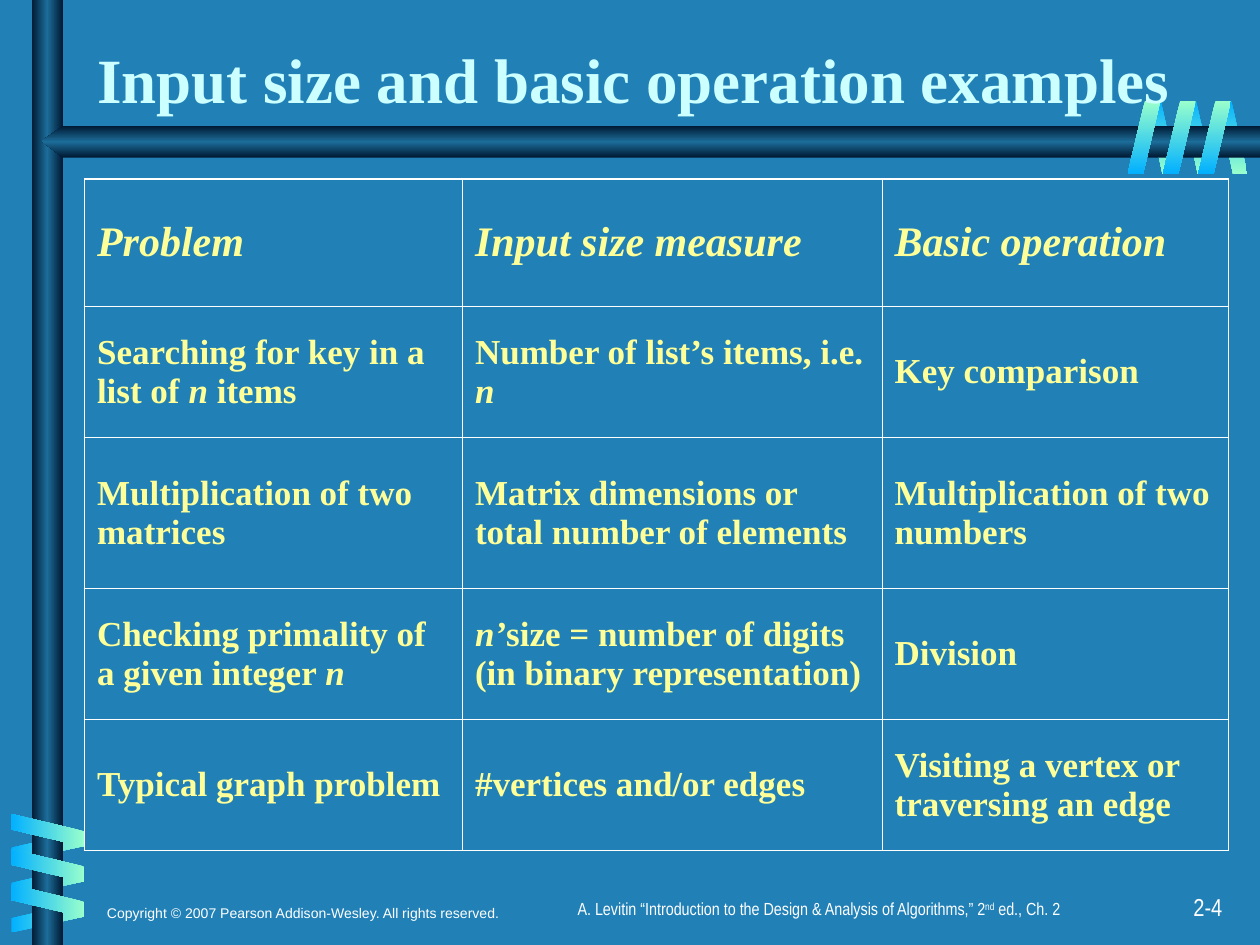
from lxml.etree import SubElement
from pptx import Presentation
from pptx.dml.color import RGBColor
from pptx.enum.shapes import MSO_SHAPE as Shape
from pptx.enum.text import MSO_ANCHOR as Anchor, PP_ALIGN as Align
from pptx.oxml.ns import qn
from pptx.util import Inches, Pt

COLORS = {
    "background": "2181B7", "title": "CCFFFF", "cell": "FFFF99", "white": "FFFFFF",
    "blue": "01B0FF", "mint": "99FFCC", "dark": "001932", "steel": "1C6D9A",
}
SERIF, SANS, NARROW = "Times New Roman", "Arial", "Arial Narrow"
BAR = ("dark", "steel", "dark")
FRONT, BACK = ("mint", "blue"), ("blue", "mint")
COLUMNS = (3, 3.33, 2.75)
ROWS = (1.01, 1.04, 1.2, 1.04, 1.04)
HEADINGS = ("Problem", "Input size measure", "Basic operation")
EXAMPLES = (
    (("Searching for key in a list of ", "*n", " items"),
     ("Number of list’s items, i.e. ", "*n"),
     ("Key comparison",)),
    (("Multiplication of two matrices",),
     ("Matrix dimensions or total number of elements",),
     ("Multiplication of two numbers",)),
    (("Checking primality of a given integer ", "*n"),
     ("*n’", "size = number of digits (in binary representation)"),
     ("Division",)),
    (("Typical graph problem",),
     ("#vertices and/or edges",),
     ("Visiting a vertex or traversing an edge",)),
)


def add_run(paragraph, text, font, size, color, bold=False, italic=False):
    """Append one formatted run and return it."""
    run = paragraph.add_run()
    run.text = text
    run.font.name, run.font.size = font, Pt(size)
    run.font.bold, run.font.italic = bold, italic
    run.font.color.rgb = RGBColor.from_string(COLORS[color])
    return run


def paint_gradient(shape, names, angle):
    """Fill a shape with evenly spaced stops, angle clockwise, and no outline."""
    shape.shadow.inherit = False
    shape.line.fill.background()
    shape.fill.gradient()
    gradient = shape.element.spPr.find(qn("a:gradFill"))
    gradient.set("rotWithShape", "0")
    stops = gradient.find(qn("a:gsLst"))
    for stop in list(stops):
        stops.remove(stop)
    for index, name in enumerate(names):
        position = 100000 * index // (len(names) - 1)
        stop = SubElement(stops, qn("a:gs"), pos=str(position))
        SubElement(stop, qn("a:srgbClr"), val=COLORS[name])
    shape.fill.gradient_angle = (360 - angle) % 360


def add_strips(slide, left, top, step_x, step_y, width, names, angle, rotation=0, flip=False):
    """Draw three equally spaced slanted strips of a coil."""
    for index in range(3):
        strip = slide.shapes.add_shape(
            Shape.PARALLELOGRAM, Inches(left + index * step_x),
            Inches(top + index * step_y), Inches(width), Inches(0.58))
        strip.adjustments[0] = 0.53
        strip.rotation = rotation
        if flip:
            strip.element.spPr.xfrm.set("flipH", "1")
        paint_gradient(strip, names, angle)


def add_bars(slide):
    """Draw the vertical bar and the pointed horizontal bar."""
    post = slide.shapes.add_shape(
        Shape.RECTANGLE, Inches(0.25), 0, Inches(0.25), Inches(7.5))
    paint_gradient(post, BAR, 180)
    outline = [(Inches(x), Inches(y)) for x, y in
               ((10, 1), (0.5, 1), (0.33, 1.12), (0.5, 1.25), (10, 1.25))]
    builder = slide.shapes.build_freeform(*outline[0])
    builder.add_line_segments(outline[1:], close=True)
    paint_gradient(builder.convert_to_shape(), BAR, 90)


def add_text(slide, left, top, width, height, align, anchor=Anchor.TOP):
    """Add an empty wrapping text box and return its paragraph."""
    box = slide.shapes.add_textbox(Inches(left), Inches(top), Inches(width), Inches(height))
    frame = box.text_frame
    frame.word_wrap, frame.vertical_anchor = True, anchor
    frame.paragraphs[0].alignment = align
    return frame.paragraphs[0]


def add_footer(slide):
    """Add the page number, the copyright line and the book reference."""
    number = add_text(slide, 7.72, 7.03, 2.08, 0.33, Align.RIGHT)
    add_run(number, "2-4", NARROW, 14, "white")
    rights = add_text(slide, 0.75, 6.78, 4.25, 0.58, Align.LEFT, Anchor.BOTTOM)
    add_run(rights, "Copyright © 2007 Pearson Addison-Wesley. All rights reserved.",
            SANS, 8, "white")
    book = add_text(slide, 3, 7.08, 7, 0.33, Align.CENTER)
    add_run(book, "A. Levitin “Introduction to the Design & Analysis of Algorithms,” 2",
            NARROW, 10, "white")
    ordinal = add_run(book, "nd", NARROW, 10, "white")
    ordinal.font._element.set("baseline", "30000")
    add_run(book, " ed., Ch. 2", NARROW, 10, "white")


def set_title(slide, text):
    """Place and format the title above the decoration."""
    title = slide.shapes.title
    title.left, title.top = Inches(0.67), Inches(0.22)
    title.width, title.height = Inches(9.33), Inches(0.75)
    title.text_frame.vertical_anchor = Anchor.BOTTOM
    paragraph = title.text_frame.paragraphs[0]
    paragraph.alignment = Align.LEFT
    add_run(paragraph, text, SERIF, 36, "title", bold=True)
    title.element.getparent().append(title.element)


def set_borders(cell, outer_sides):
    """Draw white cell borders, heavier on the outer sides."""
    properties = cell._tc.get_or_add_tcPr()
    for index, side in enumerate(("lnL", "lnR", "lnT", "lnB")):
        width = Pt(1.08 if side in outer_sides else 0.45)
        line = SubElement(properties, qn(f"a:{side}"), w=str(width))
        fill = SubElement(line, qn("a:solidFill"))
        SubElement(fill, qn("a:srgbClr"), val=COLORS["white"])
        properties.remove(line)
        properties.insert(index, line)


def add_examples(slide):
    """Add the table of problems, size measures and operations."""
    table = slide.shapes.add_table(
        len(ROWS), len(COLUMNS), Inches(0.67), Inches(1.42),
        Inches(sum(COLUMNS)), Inches(sum(ROWS))).table
    table.first_row = table.horz_banding = False
    for column, width in zip(table.columns, COLUMNS):
        column.width = Inches(width)
    for row, height in zip(table.rows, ROWS):
        row.height = Inches(height)
    contents = (tuple((f"*{heading}",) for heading in HEADINGS),) + EXAMPLES
    for row, cells in enumerate(contents):
        for column, texts in enumerate(cells):
            cell = table.cell(row, column)
            cell.fill.background()
            cell.vertical_anchor = Anchor.MIDDLE
            edges = {"lnL": column == 0, "lnR": column == len(COLUMNS) - 1,
                     "lnT": row == 0, "lnB": row == len(ROWS) - 1}
            set_borders(cell, [side for side, outer in edges.items() if outer])
            for text in texts:
                add_run(cell.text_frame.paragraphs[0], text.removeprefix("*"), SERIF,
                        20 if row else 24, "cell", True, text.startswith("*"))


def main():
    """Build the slide and save it."""
    presentation = Presentation()
    presentation.slide_width, presentation.slide_height = Inches(10), Inches(7.5)
    slide = presentation.slides.add_slide(presentation.slide_layouts[5])
    slide.background.fill.solid()
    slide.background.fill.fore_color.rgb = RGBColor.from_string(COLORS["background"])
    add_strips(slide, 9.66, 0.8, -0.28, 0, 0.24, BACK, 90, 180, True)
    add_strips(slide, 0.26, 6.43, 0, 0.28, 0.24, BACK, 180, 90, True)
    add_bars(slide)
    add_strips(slide, 0.25, 6.3, 0, 0.28, 0.26, FRONT, 180, 270)
    add_strips(slide, 9.51, 0.8, -0.28, 0, 0.26, FRONT, 90)
    add_footer(slide)
    set_title(slide, "Input size and basic operation examples")
    add_examples(slide)
    presentation.save("out.pptx")


if __name__ == "__main__":
    main()
